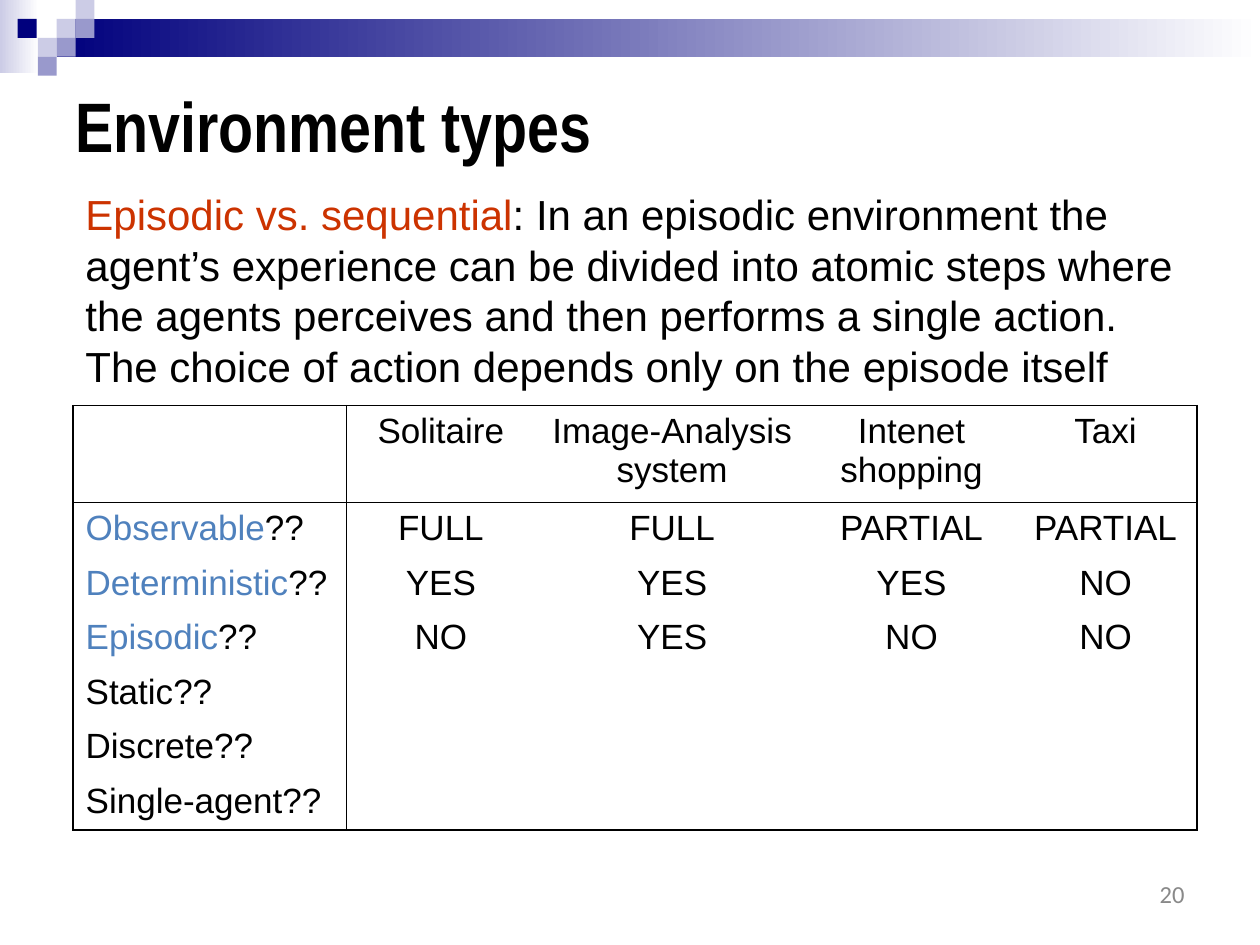
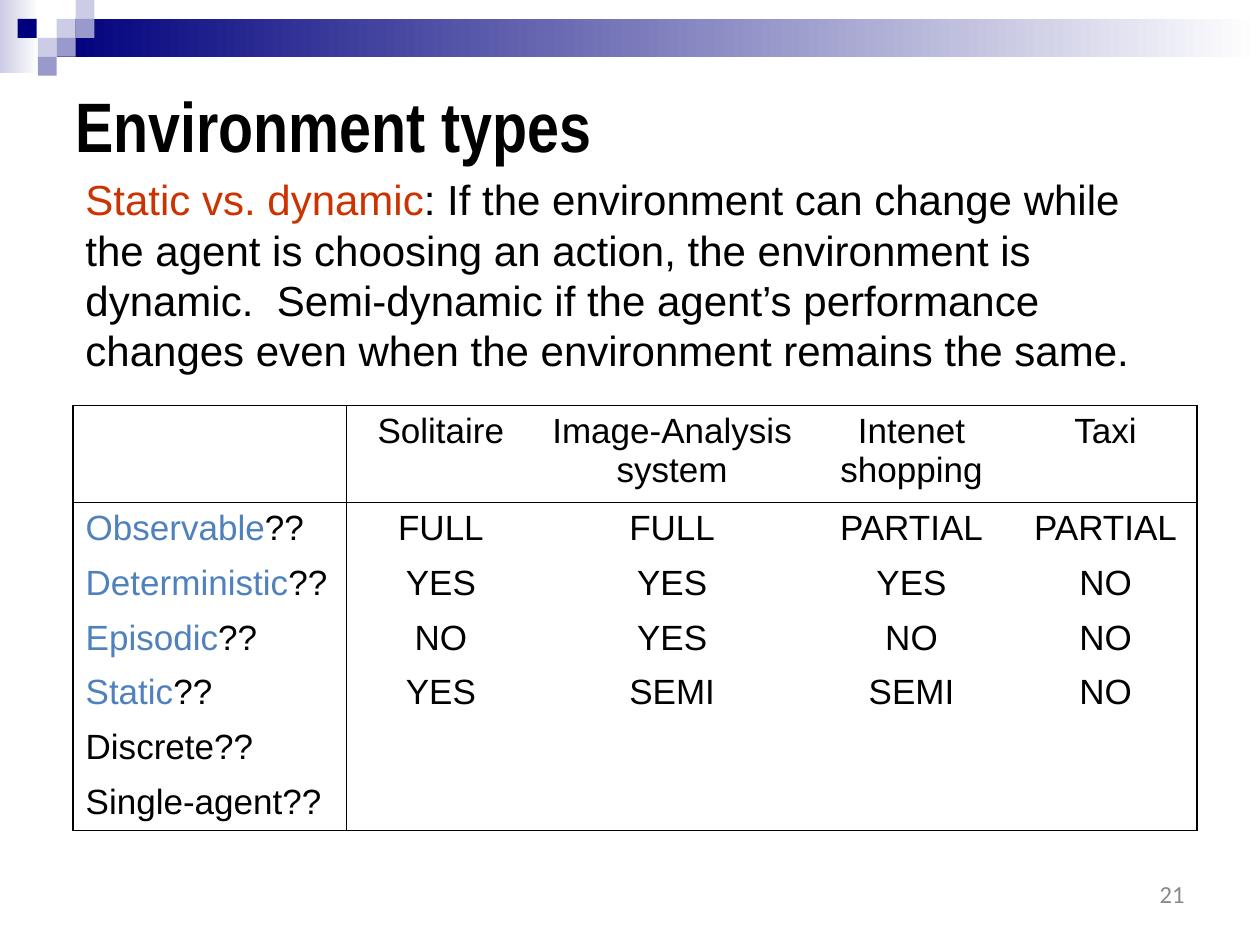
"""Build two slides on the environment types of intelligent agents."""
from dataclasses import dataclass

from lxml import etree
from pptx import Presentation
from pptx.dml.color import RGBColor
from pptx.enum.shapes import MSO_SHAPE
from pptx.enum.text import MSO_ANCHOR, MSO_AUTO_SIZE, PP_ALIGN
from pptx.oxml.ns import qn
from pptx.shapes.autoshape import Shape
from pptx.slide import Slide
from pptx.table import _Cell
from pptx.text.text import Font
from pptx.util import Inches, Pt

RECTANGLE = MSO_SHAPE.RECTANGLE
TOP, MIDDLE = MSO_ANCHOR.TOP, MSO_ANCHOR.MIDDLE
LEFT, CENTER, RIGHT = PP_ALIGN.LEFT, PP_ALIGN.CENTER, PP_ALIGN.RIGHT
GROW = MSO_AUTO_SIZE.SHAPE_TO_FIT_TEXT
FIXED = MSO_AUTO_SIZE.NONE

COLORS = {
    "white": "FFFFFF",
    "black": "000000",
    "navy": "00007D",
    "lavender": "CCCCE6",
    "periwinkle": "9999CC",
    "term": "CC3300",
    "answered": "4F81BD",
    "number": "898989",
}


@dataclass(frozen=True)
class Box:
    """Position and size in inches."""

    left: float
    top: float
    width: float
    height: float

    def lengths(self) -> tuple[Inches, Inches, Inches, Inches]:
        """Return the four values as lengths."""
        return Inches(self.left), Inches(self.top), Inches(self.width), Inches(self.height)


@dataclass(frozen=True)
class Style:
    """Look of a line of text."""

    font: str
    size: int
    color: str = "black"
    bold: bool = False
    align: PP_ALIGN = LEFT
    anchor: MSO_ANCHOR = TOP


@dataclass(frozen=True)
class Criterion:
    """Property of an environment and its value in each example."""

    name: str
    answers: tuple[str, ...]


@dataclass(frozen=True)
class Lesson:
    """Content that differs from slide to slide."""

    number: int
    term: str
    definition: str
    definition_top: float
    answered: int


TITLE = Style("Arial Narrow", 40, bold=True, anchor=MIDDLE)
DEFINITION = Style("Arial", 24)
PAGE_NUMBER = Style("Calibri", 14, "number", align=RIGHT, anchor=MIDDLE)

SQUARE = 0.15
FADES = (
    (Box(0, 0, 0.31, 0.58), "lavender"),
    (Box(0.45, 0.15, 9.55, 0.3), "navy"),
)
SQUARES = (
    (0.45, 0.15, "lavender"),
    (0.6, 0, "lavender"),
    (0.6, 0.15, "periwinkle"),
    (0.3, 0.3, "lavender"),
    (0.14, 0.15, "navy"),
    (0.45, 0.3, "periwinkle"),
    (0.3, 0.45, "periwinkle"),
)

GRID = Box(0.58, 3.22, 8.92, 3.37)
COLUMN_WIDTHS = (2.17, 1.5, 2.17, 1.63, 1.45)
HEADER_HEIGHT = 0.77
EXAMPLES = ("", "Solitaire", "Image-Analysis system", "Intenet shopping", "Taxi")
CRITERIA = (
    Criterion("Observable", ("FULL", "FULL", "PARTIAL", "PARTIAL")),
    Criterion("Deterministic", ("YES", "YES", "YES", "NO")),
    Criterion("Episodic", ("NO", "YES", "NO", "NO")),
    Criterion("Static", ("YES", "SEMI", "SEMI", "NO")),
    Criterion("Discrete", ("",) * 4),
    Criterion("Single-agent", ("",) * 4),
)

LESSONS = (
    Lesson(
        20,
        "Episodic vs. sequential",
        ": In an episodic environment the agent’s experience can be divided into "
        "atomic steps where the agents perceives and then performs a single action. "
        "The choice of action depends only on the episode itself",
        1.45,
        3,
    ),
    Lesson(
        21,
        "Static vs. dynamic",
        ": If the environment can change while the agent is choosing an action, the "
        "environment is dynamic.  Semi-dynamic if the agent’s performance changes "
        "even when the environment remains the same.",
        1.33,
        4,
    ),
)


def rgb(name: str) -> RGBColor:
    """Return a colour of the palette."""
    return RGBColor.from_string(COLORS[name])


def set_font(font: Font, style: Style) -> None:
    """Give a font the look of a style."""
    font.name = style.font
    font.size = Pt(style.size)
    font.bold = style.bold
    font.color.rgb = rgb(style.color)


def add_block(slide: Slide, box: Box) -> Shape:
    """Add a rectangle without outline or shadow."""
    block = slide.shapes.add_shape(RECTANGLE, *box.lengths())
    block.shadow.inherit = False
    block.line.fill.background()
    return block


def add_band(slide: Slide) -> None:
    """Draw the fading bands and the squares at the top."""
    for box, color in FADES:
        fill = add_block(slide, box).fill
        fill.gradient()
        fill.gradient_angle = 0
        for stop, name in zip(fill.gradient_stops, (color, "white")):
            stop.color.rgb = rgb(name)
    for left, top, color in SQUARES:
        fill = add_block(slide, Box(left, top, SQUARE, SQUARE)).fill
        fill.solid()
        fill.fore_color.rgb = rgb(color)


def add_text(
    slide: Slide, box: Box, style: Style, text: str, lead: str = "", grow: bool = False
) -> None:
    """Add a paragraph, with an optional lead in the term colour."""
    frame = slide.shapes.add_textbox(*box.lengths()).text_frame
    frame.word_wrap = True
    frame.auto_size = GROW if grow else FIXED
    frame.vertical_anchor = style.anchor
    paragraph = frame.paragraphs[0]
    paragraph.alignment = style.align
    set_font(paragraph.font, style)
    if lead:
        term = paragraph.add_run()
        term.text = lead
        term.font.color.rgb = rgb("term")
    paragraph.add_run().text = text


def set_borders(cell: _Cell, sides: dict[str, bool]) -> None:
    """Draw the sides that are ruled and clear the others."""
    properties = cell._tc.get_or_add_tcPr()
    for side, ruled in sides.items():
        line = etree.SubElement(properties, qn(f"a:ln{side}"), w=str(Pt(1)))
        if ruled:
            fill = etree.SubElement(line, qn("a:solidFill"))
            etree.SubElement(fill, qn("a:srgbClr"), val=COLORS["black"])
        else:
            etree.SubElement(line, qn("a:noFill"))


def fill_cell(cell: _Cell, text: str, align: PP_ALIGN, highlight: str = "") -> None:
    """Write a cell, with an optional highlighted beginning."""
    paragraph = cell.text_frame.paragraphs[0]
    paragraph.alignment = align
    set_font(paragraph.font, Style("Arial", 20))
    if highlight:
        answered = paragraph.add_run()
        answered.text = highlight
        answered.font.color.rgb = rgb("answered")
    if text:
        paragraph.add_run().text = text


def add_comparison(slide: Slide, answered: int) -> None:
    """Add the table with the first criteria answered."""
    row_count, column_count = len(CRITERIA) + 1, len(EXAMPLES)
    table = slide.shapes.add_table(row_count, column_count, *GRID.lengths()).table
    table.first_row = table.horz_banding = False
    for column, width in zip(table.columns, COLUMN_WIDTHS):
        column.width = Inches(width)
    for row in table.rows:
        row.height = Inches((GRID.height - HEADER_HEIGHT) / len(CRITERIA))
    table.rows[0].height = Inches(HEADER_HEIGHT)

    for column, example in enumerate(EXAMPLES):
        fill_cell(table.cell(0, column), example, CENTER)
    for row, criterion in enumerate(CRITERIA, start=1):
        known = row <= answered
        label = table.cell(row, 0)
        if known:
            fill_cell(label, "??", LEFT, criterion.name)
        else:
            fill_cell(label, f"{criterion.name}??", LEFT)
        for column, answer in enumerate(criterion.answers, start=1):
            fill_cell(table.cell(row, column), answer if known else "", CENTER)

    for row in range(row_count):
        for column in range(column_count):
            cell = table.cell(row, column)
            set_borders(cell, {
                "L": column in (0, 1),
                "R": column in (0, column_count - 1),
                "T": row in (0, 1),
                "B": row in (0, row_count - 1),
            })
            cell.fill.background()


def add_lesson(deck: Presentation, lesson: Lesson) -> None:
    """Add one slide with its definition and table."""
    slide = deck.slides.add_slide(deck.slide_layouts[6])
    add_band(slide)
    add_text(slide, Box(0.5, 0.46, 9, 1.05), TITLE, "Environment types")
    add_comparison(slide, lesson.answered)
    definition_box = Box(GRID.left, lesson.definition_top, GRID.width, 1.72)
    add_text(slide, definition_box, DEFINITION, lesson.definition, lesson.term, grow=True)
    add_text(slide, Box(7.17, 6.92, 2.33, 0.35), PAGE_NUMBER, str(lesson.number))


def main() -> None:
    """Build and save the presentation."""
    deck = Presentation()
    deck.slide_width, deck.slide_height = Inches(10), Inches(7.5)
    for lesson in LESSONS:
        add_lesson(deck, lesson)
    deck.save("out.pptx")


main()
